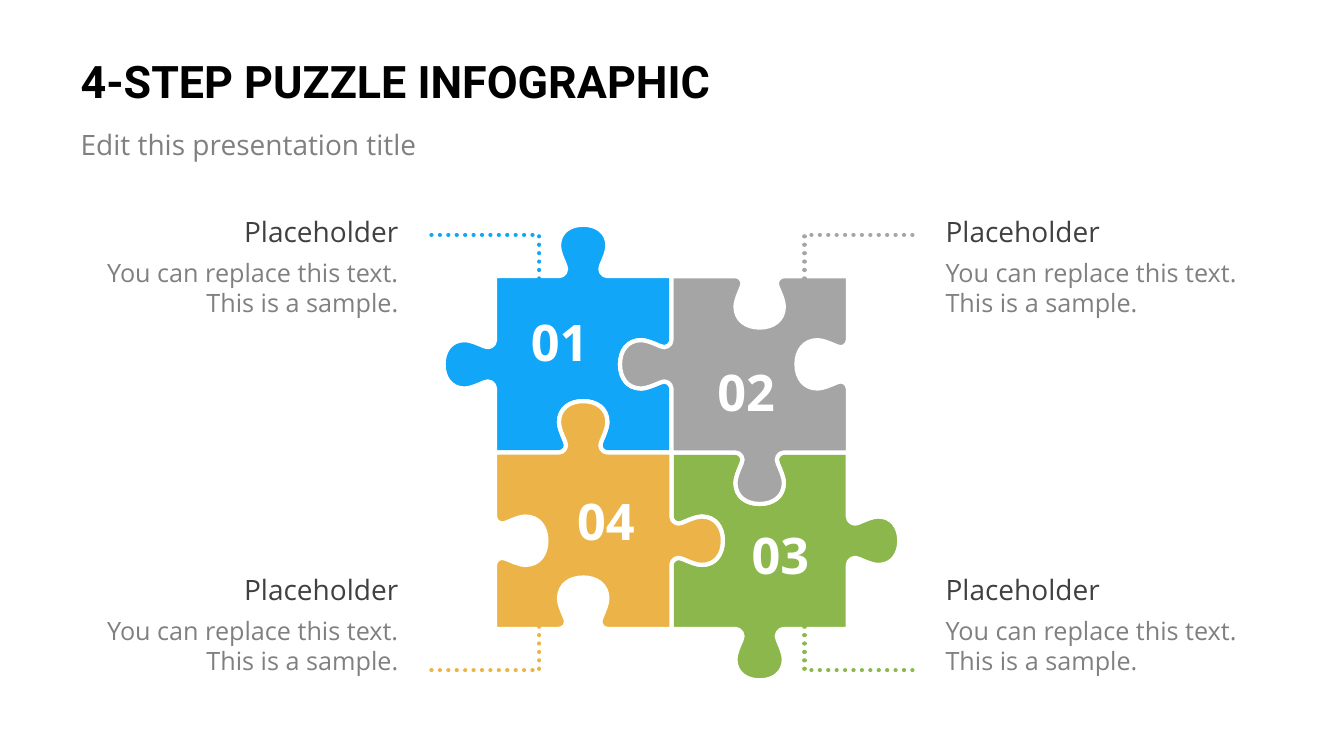
from pptx import Presentation
from pptx.dml.color import RGBColor
from pptx.enum.dml import MSO_LINE
from pptx.enum.text import MSO_ANCHOR, MSO_AUTO_SIZE, PP_ALIGN
from pptx.oxml.ns import qn
from pptx.oxml.xmlchemy import OxmlElement
from pptx.util import Inches, Pt

BLUE, GRAY, GREEN, GOLD = "12A6F8", "A5A5A5", "8BB74C", "ECB448"
WHITE, BLACK, DARK, MUTED = "FFFFFF", "000000", "404040", "808080"

# Puzzle geometry in inches
CENTER_X, CENTER_Y = 6.66, 4.49
SIDE = 1.75
# Bezier points of a knob: (distance from the side's middle, height)
KNOB_HALF = [
    (-0.24, 0), (-0.19, 0), (-0.15, 0.06), (-0.18, 0.11), (-0.21, 0.18),
    (-0.24, 0.25), (-0.24, 0.3), (-0.24, 0.44), (-0.13, 0.51),
]
KNOB = KNOB_HALF + [(0, 0.51)] + [(-along, height) for along, height in KNOB_HALF[::-1]]
OUT, IN = 1, -1

# Number, colour, column, row, knobs (top, right, bottom, left), number box position
PIECES = [
    ("03", GREEN, 1, 1, (IN, OUT, OUT, IN), (7.35, 5.14)),
    ("01", BLUE, 0, 0, (OUT, IN, IN, OUT), (5.16, 3.03)),
    ("02", GRAY, 1, 0, (IN, IN, OUT, OUT), (7.01, 3.53)),
    ("04", GOLD, 0, 1, (OUT, OUT, IN, IN), (5.62, 4.81)),
]


def color(hex_value):
    return RGBColor.from_string(hex_value)


def add_text(slide, box, text, size, hex_value, font="Open Sans", bold=False,
             align=PP_ALIGN.LEFT, anchor=MSO_ANCHOR.TOP, wrap=True, margins=None):
    shape = slide.shapes.add_textbox(*(Inches(value) for value in box))
    frame = shape.text_frame
    frame.word_wrap = wrap
    frame.vertical_anchor = anchor
    frame.auto_size = MSO_AUTO_SIZE.NONE if margins else MSO_AUTO_SIZE.SHAPE_TO_FIT_TEXT
    if margins:
        frame.margin_left = frame.margin_right = Inches(margins[0])
        frame.margin_top = frame.margin_bottom = Inches(margins[1])
    paragraph = frame.paragraphs[0]
    paragraph.text = text
    paragraph.alignment = align
    paragraph.font.name = font
    paragraph.font.size = Pt(size)
    paragraph.font.bold = bold
    paragraph.font.color.rgb = color(hex_value)


def add_outline(slide, points, line_color, close):
    start, *rest = [(Inches(x), Inches(y)) for x, y in points]
    builder = slide.shapes.build_freeform(*start)
    builder.add_line_segments(rest, close=close)
    shape = builder.convert_to_shape()
    shape.shadow.inherit = False
    shape.line.color.rgb = color(line_color)
    shape.line.width = Pt(3)
    return shape


def piece_points(left, top, knobs):
    """Walk clockwise from the top left corner, one side at a time."""
    x, y = left, top
    points = [(x, y)]
    directions = [(1, 0), (0, 1), (-1, 0), (0, -1)]
    for (dx, dy), sign in zip(directions, knobs):
        for along, height in KNOB:
            distance, rise = SIDE / 2 + along, sign * height
            points.append((x + dx * distance + dy * rise,
                           y + dy * distance - dx * rise))
        x, y = x + dx * SIDE, y + dy * SIDE
        points.append((x, y))
    return points


def curve_knobs(shape):
    """Turn each knob's points after its first one into Bezier curves."""
    segments = list(shape._element.iter(qn("a:lnTo")))
    side_length = len(KNOB) + 1
    for side_start in range(0, len(segments), side_length):
        for first in range(side_start + 1, side_start + len(KNOB), 3):
            curve = OxmlElement("a:cubicBezTo")
            segments[first].addprevious(curve)
            for segment in segments[first:first + 3]:
                curve.append(segment[0])
                segment.getparent().remove(segment)


def add_piece(slide, hex_value, column, row, knobs):
    left = CENTER_X + (column - 1) * SIDE
    top = CENTER_Y + (row - 1) * SIDE
    shape = add_outline(slide, piece_points(left, top, knobs), WHITE, close=True)
    curve_knobs(shape)
    shape.fill.solid()
    shape.fill.fore_color.rgb = color(hex_value)


def add_dotted_leader(slide, hex_value, column, row):
    outer_x, inner_x = ((4.28, 5.35), (9.05, 7.98))[column]
    outer_y, inner_y = ((2.33, 3), (6.65, 5.98))[row]
    points = [(outer_x, outer_y), (inner_x, outer_y), (inner_x, inner_y)]
    shape = add_outline(slide, points, hex_value, close=False)
    shape.fill.background()
    shape.line.dash_style = MSO_LINE.ROUND_DOT
    shape._element.spPr.find(qn("a:ln")).set("cap", "rnd")


def add_caption(slide, column, row):
    left = (0.81, 9.28)[column]
    top = (2.08, 5.63)[row]
    align = (PP_ALIGN.RIGHT, PP_ALIGN.LEFT)[column]
    add_text(slide, (left, top, 3.24, 0.44), "Placeholder", 20, DARK, align=align)
    add_text(slide, (left, top + 0.42, 3.24, 0.71),
             "You can replace this text. This is a sample.", 18, MUTED, align=align)


def main():
    presentation = Presentation()
    presentation.slide_width = Inches(13.33)
    presentation.slide_height = Inches(7.5)
    slide = presentation.slides.add_slide(presentation.slide_layouts[6])

    # Heading
    add_text(slide, (0.67, 0.41, 8.5, 0.78), "4-STEP PUZZLE INFOGRAPHIC", 32, BLACK,
             font="Roboto", bold=True, anchor=MSO_ANCHOR.MIDDLE, margins=(0.13, 0.07))
    add_text(slide, (0.67, 1.19, 4.33, 0.56), "Edit this presentation title", 20, MUTED,
             margins=(0.13, 0.07))

    # Puzzle pieces, from back to front
    for _, hex_value, column, row, knobs, _ in PIECES:
        add_piece(slide, hex_value, column, row, knobs)

    # Numbers, captions and leaders
    for number, hex_value, column, row, _, position in PIECES:
        add_text(slide, (*position, 0.78, 0.71), number, 36, WHITE, bold=True,
                 align=PP_ALIGN.CENTER, anchor=MSO_ANCHOR.MIDDLE, wrap=False)
        add_caption(slide, column, row)
        add_dotted_leader(slide, hex_value, column, row)

    presentation.save("out.pptx")


if __name__ == "__main__":
    main()
